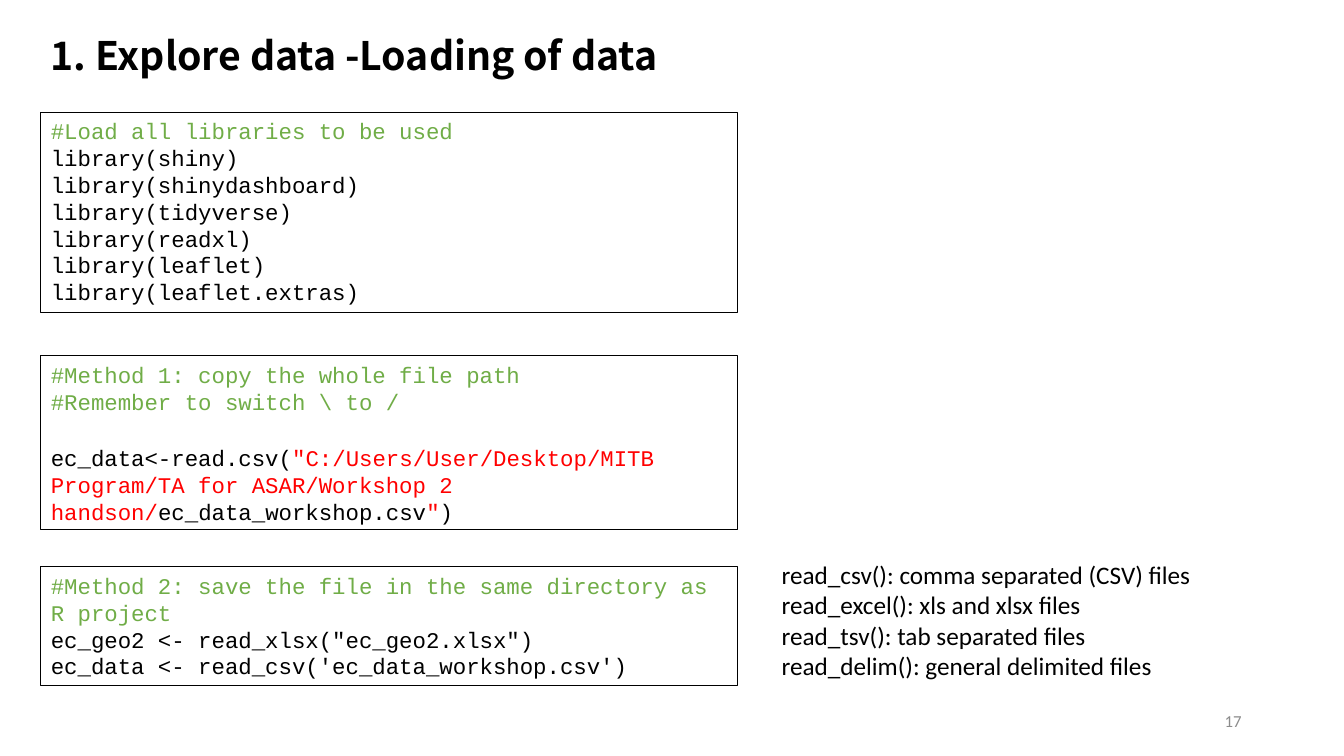
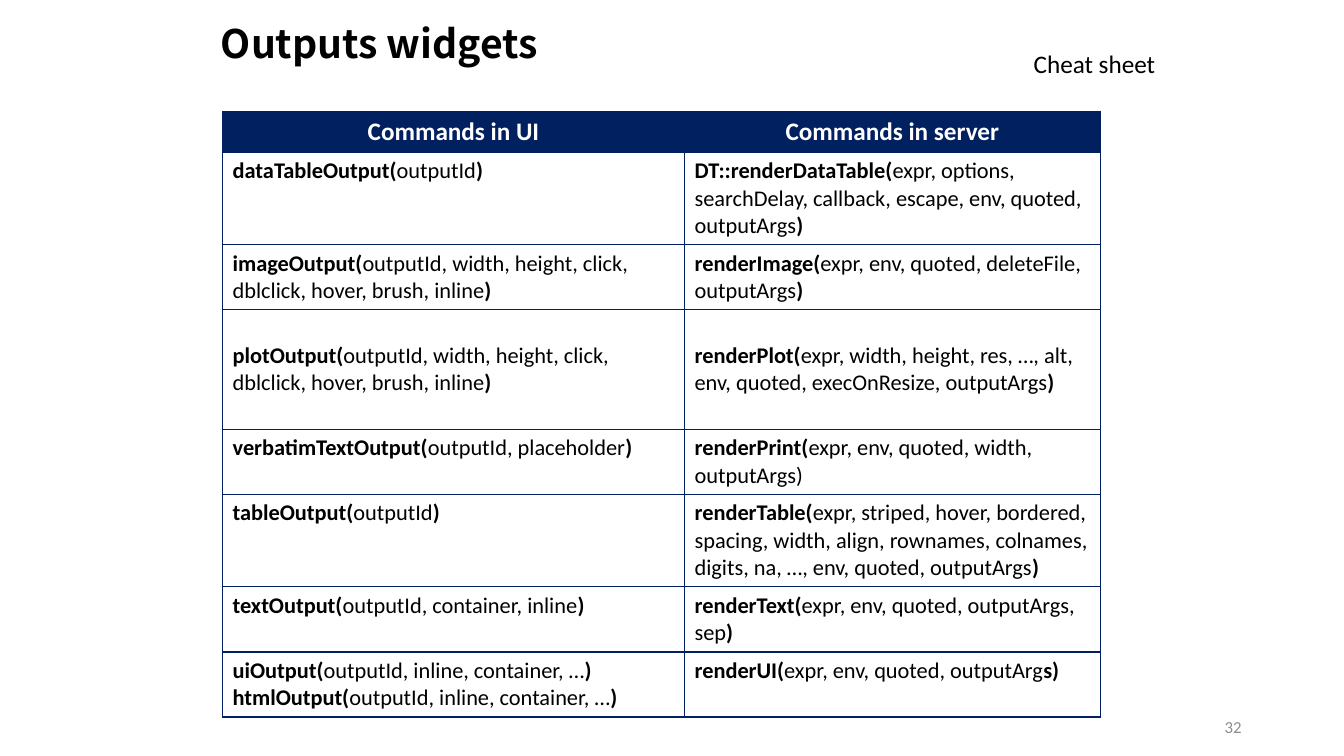
from lxml import etree
from pptx import Presentation
from pptx import util as u
from pptx.dml.color import RGBColor
from pptx.enum import shapes, text
from pptx.oxml import ns

PX = 9525
PAGE_W, PAGE_H = 1280, 720

BLACK = RGBColor(0x00, 0x00, 0x00)
WHITE = RGBColor(0xFF, 0xFF, 0xFF)
GREY = RGBColor(0x8C, 0x8C, 0x8C)
GREEN = RGBColor(0x70, 0xAD, 0x47)
RED = RGBColor(0xFF, 0x00, 0x00)
NAVY = RGBColor(0x00, 0x20, 0x60)

LEFT, CENTRE, RIGHT = text.PP_ALIGN.LEFT, text.PP_ALIGN.CENTER, text.PP_ALIGN.RIGHT
TOP, MIDDLE = text.MSO_ANCHOR.TOP, text.MSO_ANCHOR.MIDDLE

TITLE = dict(name="Noto Sans CJK KR", size=u.Pt(28), bold=True)
NUMBER = dict(name="Calibri", size=u.Pt(12))
BODY = dict(name="Calibri", size=u.Pt(18))
CODE = dict(name="Courier New", size=u.Pt(16))
HEADER = dict(BODY, bold=True)
COMMAND = dict(name="Calibri", size=u.Pt(16))
ARGUMENTS_BOLD = (True, False)

LOADING = {
    "title": "1. Explore data -Loading of data",
    "title_at": (39, 12, 622, 87),
    "number": "17",
    "number_top": 667,
}
CODE_LEFT, CODE_WIDTH = 39, 663
CODE_GAP = u.Pt(21)
# Each code box: top, height, lines of (text, colour) spans, lines with a gap above
CODE_BOXES = [
    (107, 191, [
        [("#Load all libraries to be used", GREEN)],
        [("library(shiny)", BLACK)],
        [("library(shinydashboard)", BLACK)],
        [("library(tidyverse)", BLACK)],
        [("library(readxl)", BLACK)],
        [("library(leaflet)", BLACK)],
        [("library(leaflet.extras)", BLACK)],
    ], ()),
    (339, 165, [
        [("#Method 1: copy the whole file path", GREEN)],
        [("#Remember to switch \\ to /", GREEN)],
        [("ec_data<-read.csv(", BLACK),
         ('"C:/Users/User/Desktop/MITB Program/TA for ASAR/Workshop 2 handson/', RED),
         ("ec_data_workshop.csv", BLACK), ('"', RED), (")", BLACK)],
    ], (2,)),
    (540, 113, [
        [("#Method 2: save the file in the same directory as R project", GREEN)],
        [('ec_geo2 <- read_xlsx("ec_geo2.xlsx")', BLACK)],
        [("ec_data <- read_csv('ec_data_workshop.csv')", BLACK)],
    ], ()),
]
READERS_AT = (735, 528, PAGE_W - 735, 126)
READERS = [
    "read_csv(): comma separated (CSV) files",
    "read_excel(): xls and xlsx files",
    "read_tsv(): tab separated files",
    "read_delim(): general delimited files",
]

WIDGETS = {
    "title": "Outputs widgets",
    "title_at": (201, 0, 375, 87),
    "number": "32",
    "number_top": 673,
}
CHEAT_SHEET, CHEAT_SHEET_AT = "Cheat sheet", (975, 41, 151, 38)
TABLE_LEFT, TABLE_TOP = 212, 106
COLUMN_WIDTHS = (440, 396)
HEADINGS = ("Commands in UI", "Commands in server")
HEADING_HEIGHT = 39
# Each row: height, anchor, cells; a cell's lines alternate bold and plain spans
COMMANDS = [
    (88, TOP,
     [("dataTableOutput(", "outputId", ")")],
     [("DT::renderDataTable(",
       "expr, options, searchDelay, callback, escape, env, quoted, outputArgs", ")")]),
    (62, TOP,
     [("imageOutput(", "outputId, width, height, click, dblclick, hover, brush, inline", ")")],
     [("renderImage(", "expr, env, quoted, deleteFile, outputArgs", ")")]),
    (114, MIDDLE,
     [("plotOutput(", "outputId, width, height, click, dblclick, hover, brush, inline", ")")],
     [("renderPlot(",
       "expr, width, height, res, …, alt, env, quoted, execOnResize, outputArgs", ")")]),
    (62, TOP,
     [("verbatimTextOutput(", "outputId, placeholder", ")")],
     [("renderPrint(", "expr, env, quoted, width, outputArgs)")]),
    (88, TOP,
     [("tableOutput(", "outputId", ")")],
     [("renderTable(",
       "expr, striped, hover, bordered, spacing, width, align, rownames, colnames, "
       "digits, na, …, env, quoted, outputArgs", ")")]),
    (62, TOP,
     [("textOutput(", "outputId, container, inline", ")")],
     [("renderText(", "expr, env, quoted, outputArgs, sep", ")")]),
    (62, TOP,
     [("uiOutput(", "outputId, inline, container, …", ")"),
      ("htmlOutput(", "outputId, inline, container, …", ")")],
     [("renderUI(", "expr, env, quoted, outputArg", "s)")]),
]


def emu(lengths):
    return [u.Emu(length * PX) for length in lengths]


def write(frame, lines, style, align=LEFT, spacing=None, gaps=()):
    """Write lines of (text, colour, extra format) spans into a text frame."""
    frame.word_wrap = True
    for index, line in enumerate(lines):
        para = frame.paragraphs[0] if index == 0 else frame.add_paragraph()
        para.alignment = align
        if spacing:
            para.line_spacing = spacing
        if index in gaps:
            para.space_before = CODE_GAP
        for words, colour, extra in line:
            span = para.add_run()
            span.text = words
            span.font.color.rgb = colour
            for name, value in {**style, **extra}.items():
                setattr(span.font, name, value)


def plain(words, colour=BLACK):
    return [(words, colour, {})]


def add_text(page, at, words, style, colour=BLACK, anchor=TOP, **layout):
    box = page.shapes.add_textbox(*emu(at))
    box.text_frame.vertical_anchor = anchor
    write(box.text_frame, [plain(words, colour)], style, **layout)


def add_panel(page, at, lines, style, outline, gaps=()):
    """Add an unfilled, outlined rectangle with text from its top left."""
    box = page.shapes.add_shape(shapes.MSO_SHAPE.RECTANGLE, *emu(at))
    box.shadow.inherit = False
    box.fill.background()
    box.line.color.rgb = outline
    box.line.width = u.Pt(0.75)
    box.text_frame.vertical_anchor = TOP
    write(box.text_frame, lines, style, gaps=gaps)


def add_page(deck, content):
    """Add a blank slide with its title and slide number."""
    page = deck.slides.add_slide(deck.slide_layouts[6])
    add_text(page, content["title_at"], content["title"], TITLE,
             anchor=MIDDLE, spacing=0.9)
    add_text(page, (904, content["number_top"], 288, 38), content["number"], NUMBER,
             GREY, anchor=MIDDLE, align=RIGHT)
    return page


def add_borders(cell):
    properties = cell._tc.get_or_add_tcPr()
    for index, side in enumerate(("lnL", "lnR", "lnT", "lnB")):
        line = etree.Element(ns.qn(f"a:{side}"), w=str(u.Pt(1)))
        fill = etree.SubElement(line, ns.qn("a:solidFill"))
        etree.SubElement(fill, ns.qn("a:srgbClr"), val=str(NAVY))
        properties.insert(index, line)


def command_spans(line):
    return [(words, BLACK, {"bold": ARGUMENTS_BOLD[index % 2]})
            for index, words in enumerate(line)]


def add_command_table(page):
    heights = [HEADING_HEIGHT] + [row[0] for row in COMMANDS]
    at = (TABLE_LEFT, TABLE_TOP, sum(COLUMN_WIDTHS), sum(heights))
    table = page.shapes.add_table(len(heights), len(COLUMN_WIDTHS), *emu(at)).table
    table.first_row = table.horz_banding = False
    for column, width in zip(table.columns, emu(COLUMN_WIDTHS)):
        column.width = width
    for row, height in zip(table.rows, emu(heights)):
        row.height = height
    for column, heading in enumerate(HEADINGS):
        cell = table.cell(0, column)
        cell.fill.solid()
        cell.fill.fore_color.rgb = NAVY
        write(cell.text_frame, [plain(heading, WHITE)], HEADER, CENTRE)
    for row, (_, anchor, *cells) in enumerate(COMMANDS, 1):
        for column, lines in enumerate(cells):
            cell = table.cell(row, column)
            cell.fill.background()
            cell.vertical_anchor = anchor
            write(cell.text_frame, [command_spans(line) for line in lines], COMMAND)
    for cell in table.iter_cells():
        add_borders(cell)


def main():
    deck = Presentation()
    deck.slide_width, deck.slide_height = emu((PAGE_W, PAGE_H))

    page = add_page(deck, LOADING)
    for top, height, code, gaps in CODE_BOXES:
        lines = [[(words, colour, {}) for words, colour in line] for line in code]
        add_panel(page, (CODE_LEFT, top, CODE_WIDTH, height), lines, CODE, BLACK, gaps)
    add_panel(page, READERS_AT, [plain(reader) for reader in READERS], BODY, WHITE)

    page = add_page(deck, WIDGETS)
    add_text(page, CHEAT_SHEET_AT, CHEAT_SHEET, BODY)
    add_command_table(page)

    deck.save("out.pptx")


if __name__ == "__main__":
    main()
